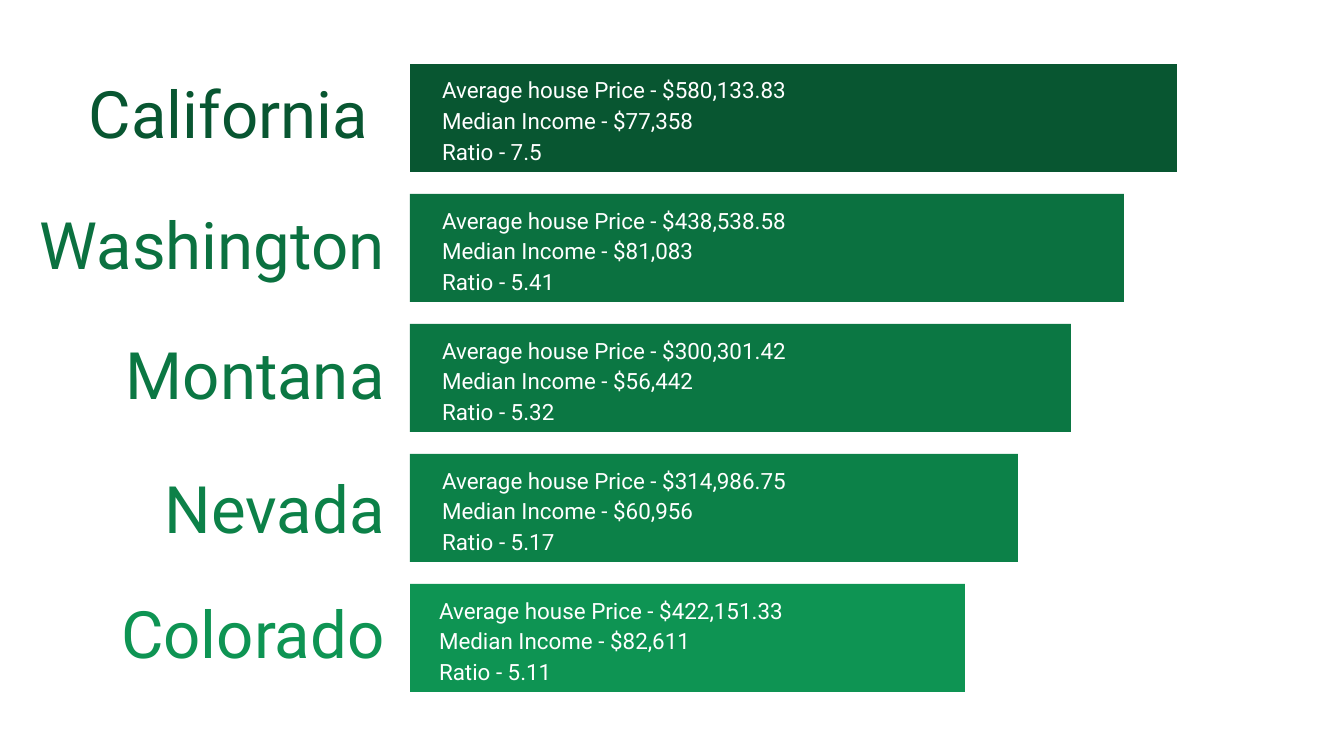
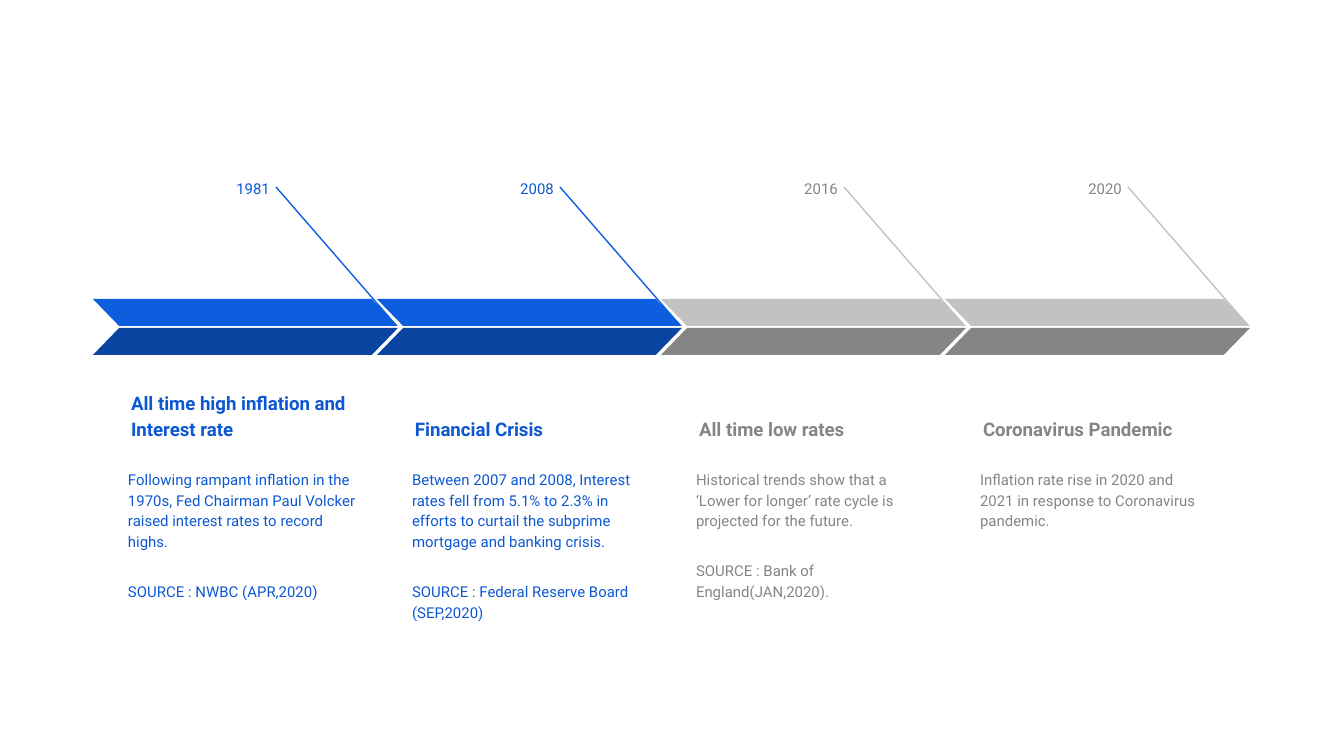
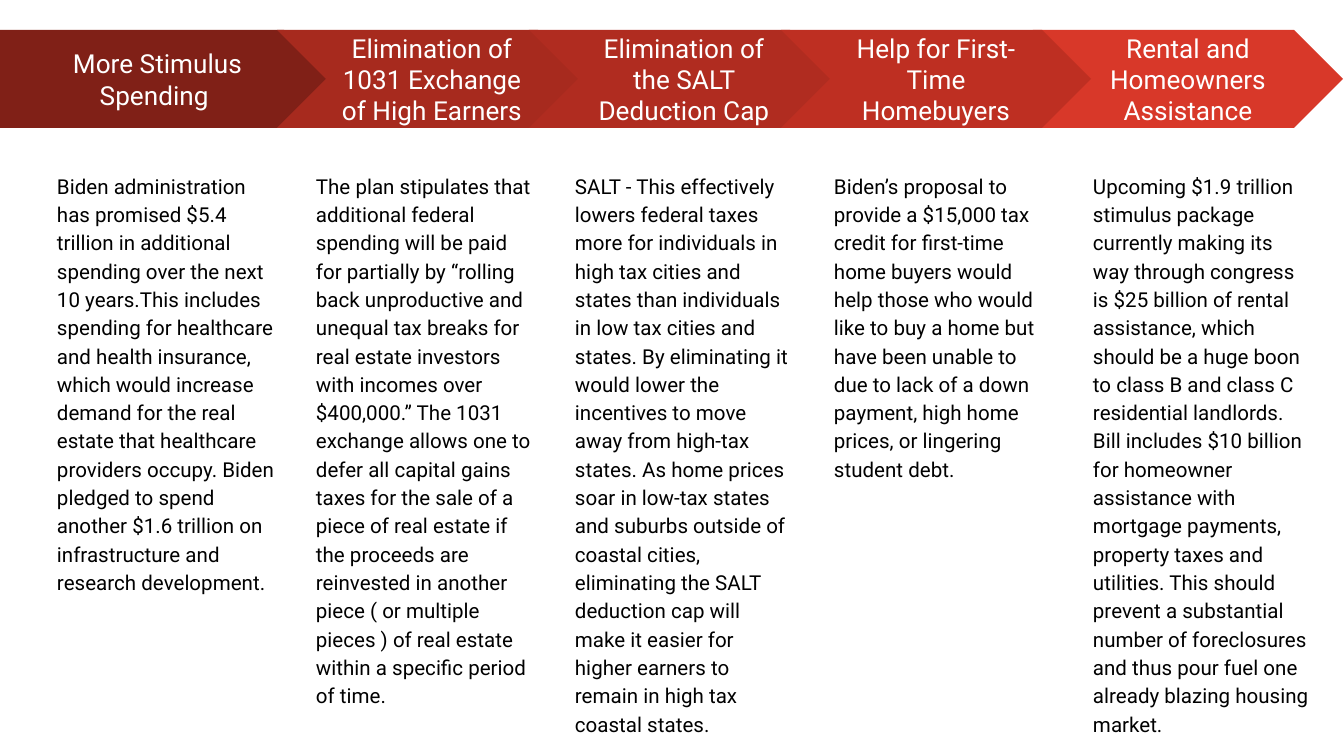
from dataclasses import dataclass

from lxml.etree import SubElement
from pptx import Presentation
from pptx.dml.color import RGBColor
from pptx.enum.shapes import MSO_CONNECTOR, MSO_SHAPE
from pptx.enum.text import MSO_ANCHOR, MSO_AUTO_SIZE, PP_ALIGN
from pptx.oxml.ns import qn
from pptx.util import Emu, Pt

STATES = [
    dict(name="California ", price="$580,133.83", income="$77,358", ratio="7.5",
         label=(20, 7, 378), details=(429, 700, 84)),
    dict(name="Washington", price="$438,538.58", income="$81,083", ratio="5.41",
         label=(20, 8, 378), details=(429, 642, 48)),
    dict(name="Montana", price="$300,301.42", income="$56,442", ratio="5.32",
         label=(90, 8, 308), details=(429, 566, 48)),
    dict(name="Nevada", price="$314,986.75", income="$60,956", ratio="5.17",
         label=(20, 12, 378), details=(429, 566, 48)),
    dict(name="Colorado", price="$422,151.33", income="$82,611", ratio="5.11",
         label=(20, 7, 378), details=(426, 515, 48)),
]

EVENTS = [
    ("1981", "All time high inflation and Interest rate", [
        "Following rampant inflation in the 1970s, Fed Chairman Paul Volcker "
        "raised interest rates to record highs.",
        "SOURCE : NWBC (APR,2020)"], "past"),
    ("2008", "Financial Crisis", [
        "Between 2007 and 2008, Interest rates fell from 5.1% to 2.3% in efforts "
        "to curtail the subprime mortgage and banking crisis.",
        "SOURCE : Federal Reserve Board (SEP,2020)"], "past"),
    ("2016", "All time low rates", [
        "Historical trends show that a ‘Lower for longer’ rate cycle is projected "
        "for the future.",
        "SOURCE : Bank of England(JAN,2020)."], "recent"),
    ("2020", "Coronavirus Pandemic", [
        "Inflation rate rise in 2020 and 2021 in response to Coronavirus pandemic."],
     "recent"),
]

POLICIES = [
    (" More Stimulus Spending",
     "Biden administration has promised $5.4 trillion in additional spending over "
     "the next 10 years.This includes spending for healthcare and health insurance, "
     "which would increase demand for the real estate that healthcare providers "
     "occupy. Biden pledged to spend another $1.6 trillion on infrastructure and "
     "research development."),
    ("Elimination of 1031 Exchange of High Earners",
     "The plan stipulates that additional federal spending will be paid for "
     "partially by “rolling back unproductive and unequal tax breaks for real "
     "estate investors with incomes over $400,000.” The 1031 exchange allows one "
     "to defer all capital gains taxes for the sale of a piece of real estate if "
     "the proceeds are reinvested in another piece ( or multiple pieces ) of real "
     "estate within a specific period of time."),
    ("Elimination of the SALT Deduction Cap",
     "SALT - This effectively lowers federal taxes more for individuals in high tax "
     "cities and states than individuals in low tax cities and states. By "
     "eliminating it would lower the incentives to move away from high-tax states. "
     "As home prices soar in low-tax states and suburbs outside of coastal cities, "
     "eliminating the SALT deduction cap will make it easier for higher earners to "
     "remain in high tax coastal states."),
    ("Help for First-Time Homebuyers",
     "Biden’s proposal to provide a $15,000 tax credit for first-time home buyers "
     "would help those who would like to buy a home but have been unable to due to "
     "lack of a down payment, high home prices, or lingering student debt."),
    ("Rental and Homeowners Assistance",
     "Upcoming $1.9 trillion stimulus package currently making its way through "
     "congress is $25 billion of rental assistance, which should be a huge boon to "
     "class B and class C residential landlords. Bill includes $10 billion for "
     "homeowner assistance with mortgage payments, property taxes and utilities. "
     "This should prevent a substantial number of foreclosures and thus pour fuel "
     "one already blazing housing market."),
]
POLICY_LAYERS = [0, 1, 2, 4, 3]


@dataclass(frozen=True)
class Theme:
    font: str = "Roboto"
    white: str = "FFFFFF"
    black: str = "000000"
    greens: tuple = ("085631", "0B7140", "0B7743", "0C8148", "0E9453")
    reds: tuple = ("802017", "A72A1E", "B02C20", "BE2F22", "D83829")
    past: tuple = ("0C58D3", "0D5DDF", "0944A1")
    recent: tuple = ("858585", "C2C2C2", "858585")
    state_size: int = 35
    detail_size: int = 12
    event_size: int = 10
    note_size: int = 8
    step_size: int = 14
    policy_size: int = 11
    line_width: float = 0.75
    leading: float = 1.15


THEME = Theme()
SLIDE_WIDTH, SLIDE_HEIGHT = 1344, 756


def px(length):
    return Emu(round(length * 9144000 / SLIDE_WIDTH))


def write_text(shape, paragraphs, *, size, color, bold=False, align=PP_ALIGN.LEFT,
               anchor=MSO_ANCHOR.TOP, leading=THEME.leading, gap=0, inset=13):
    frame = shape.text_frame
    frame.word_wrap = True
    frame.auto_size = MSO_AUTO_SIZE.NONE
    frame.vertical_anchor = anchor
    frame.margin_left = frame.margin_right = px(13)
    frame.margin_top = frame.margin_bottom = px(inset)
    for index, text in enumerate(paragraphs):
        paragraph = frame.add_paragraph() if index else frame.paragraphs[0]
        paragraph.alignment = align
        paragraph.line_spacing = leading
        paragraph.space_before = Pt(gap if index else 0)
        run = paragraph.add_run()
        run.text = text
        run.font.name = THEME.font
        run.font.size = Pt(size)
        run.font.bold = bold
        run.font.color.rgb = RGBColor.from_string(color)


def add_text(shapes, box, paragraphs, **text_format):
    write_text(shapes.add_textbox(*map(px, box)), paragraphs, **text_format)


def add_block(shapes, kind, box, color, adjustment=None, flipped=False):
    shape = shapes.add_shape(kind, *map(px, box))
    shape.shadow.inherit = False
    shape.fill.solid()
    shape.fill.fore_color.rgb = RGBColor.from_string(color)
    shape.line.fill.background()
    if adjustment is not None:
        shape.adjustments[0] = adjustment
    if flipped:
        shape._element.spPr.get_or_add_xfrm().set("flipH", "1")
    return shape


def add_line(shapes, start, end, color):
    connector = shapes.add_connector(MSO_CONNECTOR.STRAIGHT, *map(px, start + end))
    connector.line.color.rgb = RGBColor.from_string(color)
    connector.line.width = Pt(THEME.line_width)
    SubElement(connector._element.spPr, qn("a:effectLst"))


def build_states(slide):
    for index, (state, green) in enumerate(zip(STATES, THEME.greens)):
        shapes = slide.shapes.add_group_shape().shapes
        top = 64 + 130 * index
        label_left, label_offset, label_width = state["label"]
        detail_left, detail_width, detail_height = state["details"]
        add_text(shapes, (label_left, top + label_offset, label_width, 93),
                 [state["name"]], size=THEME.state_size, color=green,
                 align=PP_ALIGN.RIGHT, anchor=MSO_ANCHOR.MIDDLE, leading=0.9, inset=7)
        add_block(shapes, MSO_SHAPE.RECTANGLE, (410, top, 767 - 53 * index, 108), green)
        add_text(shapes,
                 (detail_left, top + 55 - detail_height // 2, detail_width, detail_height),
                 [f"Average house Price - {state['price']}",
                  f"Median Income - {state['income']}",
                  f"Ratio - {state['ratio']}"],
                 size=THEME.detail_size, color=THEME.white,
                 anchor=MSO_ANCHOR.MIDDLE, inset=7)


def build_timeline(slide):
    for index, (year, heading, notes, period) in enumerate(EVENTS):
        shapes = slide.shapes.add_group_shape().shapes
        left = 93 + 284 * index
        text_color, upper, lower = getattr(THEME, period)
        add_text(shapes, (left + 87, 164, 103, 44), [year], size=THEME.note_size,
                 color=text_color, align=PP_ALIGN.RIGHT)
        add_text(shapes, (left + 25, 371, 250, 82), [heading], size=THEME.event_size,
                 color=text_color, bold=True, anchor=MSO_ANCHOR.BOTTOM)
        add_text(shapes, (left + 22, 455, 257, 136), notes, size=THEME.note_size,
                 color=text_color, gap=16)
        add_line(shapes, (left + 183, 187), (left + 302, 324), upper)
        for top, color, flipped in ((299, upper, True), (328, lower, False)):
            add_block(shapes, MSO_SHAPE.PARALLELOGRAM, (left, top, 305, 27), color,
                      adjustment=0.97, flipped=flipped)


def build_policies(slide):
    for index in POLICY_LAYERS:
        heading, body = POLICIES[index]
        shapes = slide.shapes.add_group_shape().shapes
        if index == 0:
            kind, left, width = MSO_SHAPE.PENTAGON, 0, 333
        else:
            kind, left, width = MSO_SHAPE.CHEVRON, 25 + 252 * index, 310
        step = add_block(shapes, kind, (left, 30, width, 98), THEME.reds[index],
                         adjustment=0.5)
        write_text(step, [heading], size=THEME.step_size, color=THEME.white,
                   align=PP_ALIGN.CENTER, anchor=MSO_ANCHOR.MIDDLE, leading=1.0)
        add_text(shapes, (44 + 259 * index, 157, 245, 569), [body],
                 size=THEME.policy_size, color=THEME.black)


def main():
    presentation = Presentation()
    presentation.slide_width = px(SLIDE_WIDTH)
    presentation.slide_height = px(SLIDE_HEIGHT)
    for build in (build_states, build_timeline, build_policies):
        build(presentation.slides.add_slide(presentation.slide_layouts[6]))
    presentation.save("out.pptx")


if __name__ == "__main__":
    main()
